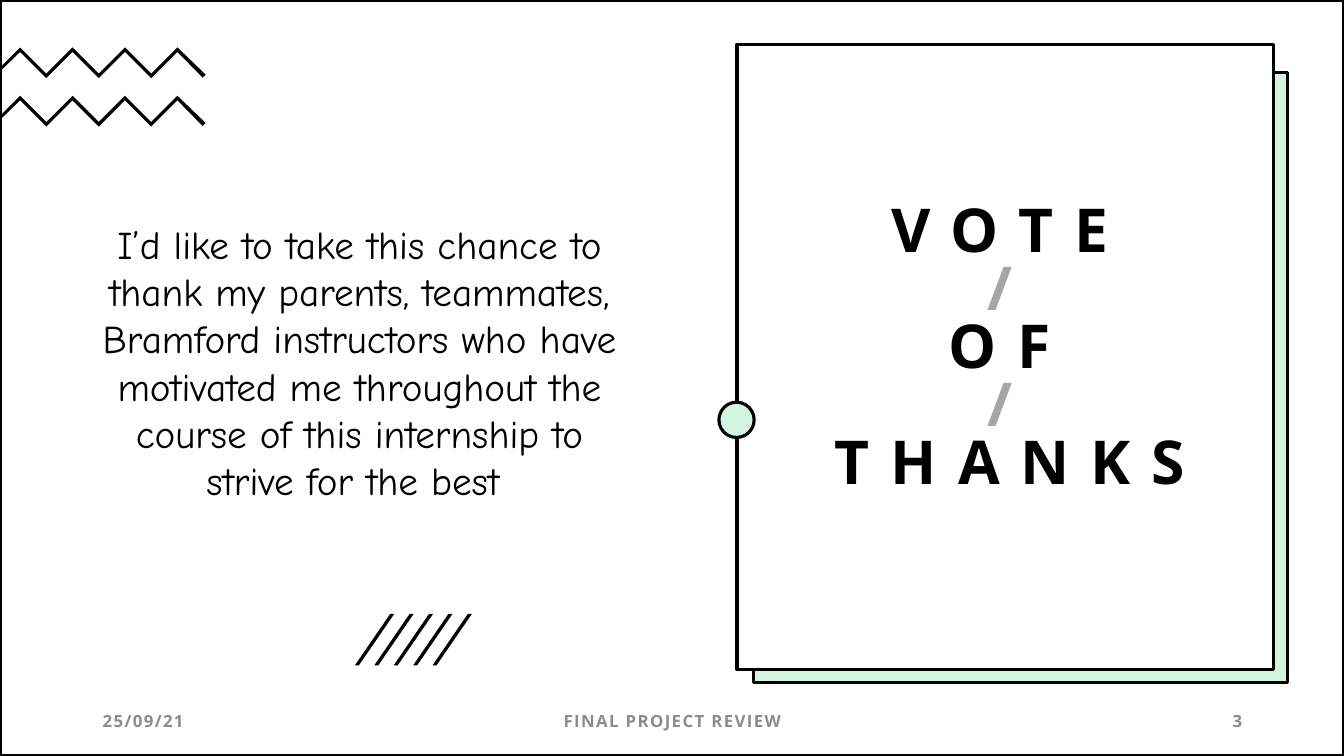
from pptx import Presentation
from pptx.dml.color import RGBColor
from pptx.enum.shapes import MSO_SHAPE
from pptx.enum.text import MSO_ANCHOR, MSO_AUTO_SIZE, PP_ALIGN
from pptx.util import Inches, Pt

BLACK = RGBColor(0x00, 0x00, 0x00)
WHITE = RGBColor(0xFF, 0xFF, 0xFF)
MINT = RGBColor(0xD3, 0xF3, 0xE1)
SLASH_GRAY = RGBColor(0xA6, 0xA6, 0xA6)
FOOTER_GRAY = RGBColor(0x8C, 0x8C, 0x8C)
RECTANGLE, OVAL = MSO_SHAPE.RECTANGLE, MSO_SHAPE.OVAL
LEFT, CENTER, RIGHT = PP_ALIGN.LEFT, PP_ALIGN.CENTER, PP_ALIGN.RIGHT
MIDDLE = MSO_ANCHOR.MIDDLE
NO_AUTOFIT = MSO_AUTO_SIZE.NONE

TITLE_FONT = {"name": "Open Sans", "size": Pt(43.2), "bold": True}
FOOTER_FONT = {"name": "Open Sans", "size": Pt(12), "bold": True}
BODY_FONT = {"name": "Comic Neue", "size": Pt(28), "bold": False}

presentation = Presentation()
presentation.slide_width = Inches(13.33)
presentation.slide_height = Inches(7.5)
slide = presentation.slides.add_slide(presentation.slide_layouts[5])
shapes = slide.shapes


def add_run(paragraph, text, font_format, color, spacing=0):
    """Add a formatted run; spacing is the letter spacing in points."""
    run = paragraph.add_run()
    run.text = text
    for name, value in font_format.items():
        setattr(run.font, name, value)
    run.font.color.rgb = color
    if spacing:
        run.font._element.set("spc", str(spacing * 100))


def add_outline(points):
    """Add a closed black freeform through points given in inches."""
    corners = [(Inches(x), Inches(y)) for x, y in points]
    builder = shapes.build_freeform(*corners[0])
    builder.add_line_segments(corners[1:])
    outline = builder.convert_to_shape()
    outline.shadow.inherit = False
    outline.fill.solid()
    outline.fill.fore_color.rgb = BLACK
    outline.line.fill.background()


# Slanted strokes
for index in range(5):
    left = 3.52 + 0.1925 * index
    add_outline([(left + 0.04, 6.6), (left, 6.6), (left + 0.35, 6.09), (left + 0.39, 6.09)])

# Zigzags
for top in (0.47, 0.95):
    turns = [(0.2 + 0.26 * i, top + 0.26 * (i % 2)) for i in range(7)]
    underside = [(x, y + 0.045) for x, y in reversed(turns)]
    add_outline(turns + [(2.04, top + 0.27), (2.01, top + 0.3)] + underside
                + [(0, top + 0.24), (0, top + 0.2)])

# Card with its offset backing, the dot on its edge and the slide frame
for kind, left, top, width, height, fill in (
    (RECTANGLE, 7.47, 0.72, 5.3, 6.05, MINT),
    (RECTANGLE, 7.31, 0.44, 5.32, 6.2, WHITE),
    (OVAL, 7.13, 3.99, 0.35, 0.35, MINT),
    (RECTANGLE, 0, 0, 13.33, 7.5, None),
):
    shape = shapes.add_shape(kind, Inches(left), Inches(top), Inches(width), Inches(height))
    shape.shadow.inherit = False
    shape.line.color.rgb = BLACK
    shape.line.width = Pt(2.25)
    if fill is None:
        shape.fill.background()
    else:
        shape.fill.solid()
        shape.fill.fore_color.rgb = fill

# Title, brought in front of the card
title = shapes.title
title.left, title.top = Inches(7.72), Inches(1.88)
title.width, title.height = Inches(4.6), Inches(3.2)
title.element.getparent().append(title.element)
title_frame = title.text_frame
title_frame.word_wrap = True
title_frame.auto_size = NO_AUTOFIT
title_frame.vertical_anchor = MIDDLE
paragraph = title_frame.paragraphs[0]
paragraph.alignment = CENTER
paragraph.line_spacing = 0.8
for index, word in enumerate(("VOTE", "/", "OF", "/", "THANKS")):
    if index:
        paragraph.add_line_break()
        paragraph._p[-1].get_or_add_rPr().set("sz", "4320")
    add_run(paragraph, word, TITLE_FONT, SLASH_GRAY if word == "/" else BLACK, 15)

# Message and footers; the message has a deep bottom inset that lifts it
MESSAGE = (
    "I’d like to take this chance to thank my parents, teammates, "
    "Bramford instructors who have motivated me throughout the course of "
    "this internship to strive for the best "
)
for text, left, top, width, height, alignment, font_format, color, spacing, inset in (
    (MESSAGE, 0.88, 2.04, 5.37, 3.77, CENTER, BODY_FONT, BLACK, 0, 0.72),
    ("25/09/21", 0.92, 6.95, 3, 0.4, LEFT, FOOTER_FONT, FOOTER_GRAY, 1, 0.05),
    ("FINAL PROJECT REVIEW", 4.42, 6.95, 4.5, 0.4, CENTER, FOOTER_FONT, FOOTER_GRAY, 1, 0.05),
    ("3", 9.42, 6.95, 3, 0.4, RIGHT, FOOTER_FONT, FOOTER_GRAY, 1, 0.05),
):
    box = shapes.add_textbox(Inches(left), Inches(top), Inches(width), Inches(height))
    text_frame = box.text_frame
    text_frame.word_wrap = True
    text_frame.vertical_anchor = MIDDLE
    text_frame.margin_bottom = Inches(inset)
    text_frame.paragraphs[0].alignment = alignment
    add_run(text_frame.paragraphs[0], text, font_format, color, spacing)

presentation.save("out.pptx")
